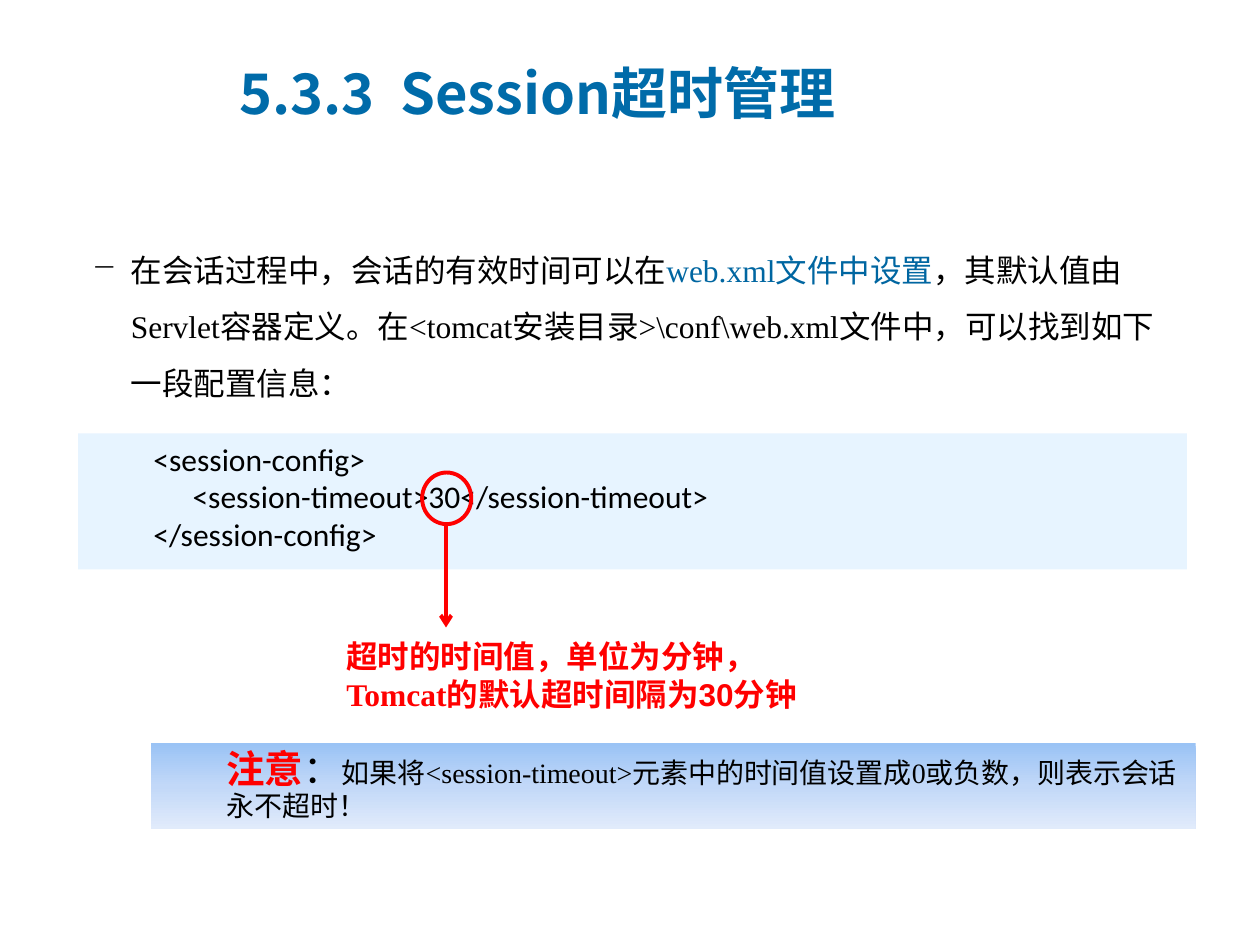
from copy import deepcopy

from lxml import etree
from pptx import Presentation
from pptx.dml.color import RGBColor
from pptx.enum.shapes import MSO_CONNECTOR, MSO_SHAPE
from pptx.enum.text import MSO_ANCHOR, PP_ALIGN
from pptx.oxml.ns import qn
from pptx.util import Inches, Pt

RECT, OVAL = MSO_SHAPE.RECTANGLE, MSO_SHAPE.OVAL
STRAIGHT = MSO_CONNECTOR.STRAIGHT
TOP, MIDDLE = MSO_ANCHOR.TOP, MSO_ANCHOR.MIDDLE
LEFT = PP_ALIGN.LEFT

BLACK = RGBColor(0x00, 0x00, 0x00)
RED = RGBColor(0xFF, 0x00, 0x00)
TITLE_BLUE = RGBColor(0x00, 0x6B, 0xA9)
LINK_BLUE = RGBColor(0x00, 0x66, 0xA1)
CODE_FILL = RGBColor(0xE7, 0xF4, 0xFF)
NOTE_STOPS = [
    (0, RGBColor(0x9A, 0xC3, 0xF5)),
    (0.5, RGBColor(0xC2, 0xD8, 0xF8)),
    (1, RGBColor(0xE1, 0xEB, 0xFB)),
]
SERIF, SANS, CODE, CJK = "Times New Roman", "Arial", "Calibri", "Noto Sans CJK SC"


def box(left, top, width, height):
    return [Inches(v) for v in (left, top, width, height)]


def add_run(p, text, size=18, font=SERIF, color=BLACK, bold=False):
    r = p.add_run()
    r.text = text
    r.font.size = Pt(size)
    r.font.name = font
    r.font.bold = bold
    r.font.color.rgb = color
    etree.SubElement(r.font._element, qn("a:ea"), typeface=CJK)


def write(sp, paragraphs, margin=0, indent=0, spacing=None, bullet=None, anchor=TOP):
    """Fill a shape with paragraphs, each a list of (text, run format) pairs."""
    tf = sp.text_frame
    tf.word_wrap = True
    tf.vertical_anchor = anchor
    for i, runs in enumerate(paragraphs):
        p = tf.add_paragraph() if i else tf.paragraphs[0]
        p.alignment = LEFT
        pPr = p._p.get_or_add_pPr()
        pPr.set("marL", str(Inches(margin)))
        pPr.set("indent", str(Inches(indent)))
        if bullet:
            etree.SubElement(pPr, qn("a:buChar"), char=bullet)
        if spacing:
            p.line_spacing = spacing
        for text, style in runs:
            add_run(p, text, **style)


def add_text(s, position, paragraphs, **style):
    write(s.shapes.add_textbox(*box(*position)), paragraphs, **style)


def add_plain_shape(s, kind, position):
    sp = s.shapes.add_shape(kind, *box(*position))
    sp.shadow.inherit = False
    sp.line.fill.background()
    sp.fill.background()
    return sp


def fill_gradient(sp, colors):
    """Fill from top to bottom through the given (position, colour) stops."""
    sp.fill.gradient()
    sp.fill.gradient_angle = 270
    stops = sp.fill._fill._gradFill.find(qn("a:gsLst"))
    while len(stops) < len(colors):
        stops.append(deepcopy(stops[0]))
    for stop, (position, color) in zip(sp.fill.gradient_stops, colors):
        stop.position = position
        stop.color.rgb = color


def outline(sp):
    sp.line.color.rgb = RED
    sp.line.width = Pt(2.25)


def add_arrow(s, x1, y1, x2, y2):
    c = s.shapes.add_connector(STRAIGHT, *box(x1, y1, x2, y2))
    outline(c)
    etree.SubElement(c.line._get_or_add_ln(), qn("a:tailEnd"), type="arrow")
    etree.SubElement(c._element.spPr, qn("a:effectLst"))


def add_title(s, text):
    title = s.shapes.title
    title.left, title.top, title.width, title.height = box(1.8, 0.43, 8.08, 0.61)
    style = dict(size=32, font=CJK, color=TITLE_BLUE, bold=True)
    write(title, [[(text, style)]], margin=0.62, indent=-0.62, anchor=MIDDLE)


def add_code(s, lines):
    sp = add_plain_shape(s, RECT, (0.62, 3.44, 8.8, 1.08))
    sp.fill.solid()
    sp.fill.fore_color.rgb = CODE_FILL
    write(sp, [[(line, dict(font=CODE))] for line in lines], margin=0.81, indent=-0.31)


def add_note(s):
    sp = add_plain_shape(s, RECT, (1.2, 5.9, 8.29, 0.68))
    fill_gradient(sp, NOTE_STOPS)
    write(sp, [[
        ("注意", dict(size=22, font=CJK, color=RED, bold=True)),
        ("：", dict(size=22, font=CODE)),
        ("如果将<session-timeout>元素中的时间值设置成0或负数，则表示会话永不超时！", dict(size=16)),
    ]], margin=0.5, spacing=0.9, anchor=MIDDLE)


def main():
    prs = Presentation()
    prs.slide_width, prs.slide_height = Inches(10), Inches(7.5)
    s = prs.slides.add_slide(prs.slide_layouts[5])

    add_title(s, "5.3.3  Session超时管理")
    add_code(s, [
        "<session-config>",
        "\t<session-timeout>30</session-timeout>",
        "</session-config>",
    ])
    add_text(s, (0.63, 1.79, 8.75, 1.5), [[
        ("在会话过程中，会话的有效时间可以在", {}),
        ("web.xml文件中设置", dict(color=LINK_BLUE)),
        ("，其默认值由Servlet容器定义。在<tomcat安装目录>\\conf\\web.xml文件中，"
         "可以找到如下一段配置信息：", {}),
    ]], margin=0.31, indent=-0.31, spacing=1.5, bullet="−")

    warning = dict(color=RED, bold=True)
    add_text(s, (2.65, 5.01, 4, 0.71), [[
        ("超时的时间值，单位为分钟，", dict(font=SANS, **warning)),
        ("Tomcat", warning),
        ("的默认超时间隔为30分钟", dict(font=SANS, **warning)),
    ]])
    outline(add_plain_shape(s, OVAL, (3.35, 3.75, 0.39, 0.41)))
    add_arrow(s, 3.54, 4.16, 3.54, 4.98)
    add_note(s)

    prs.save("out.pptx")


if __name__ == "__main__":
    main()
